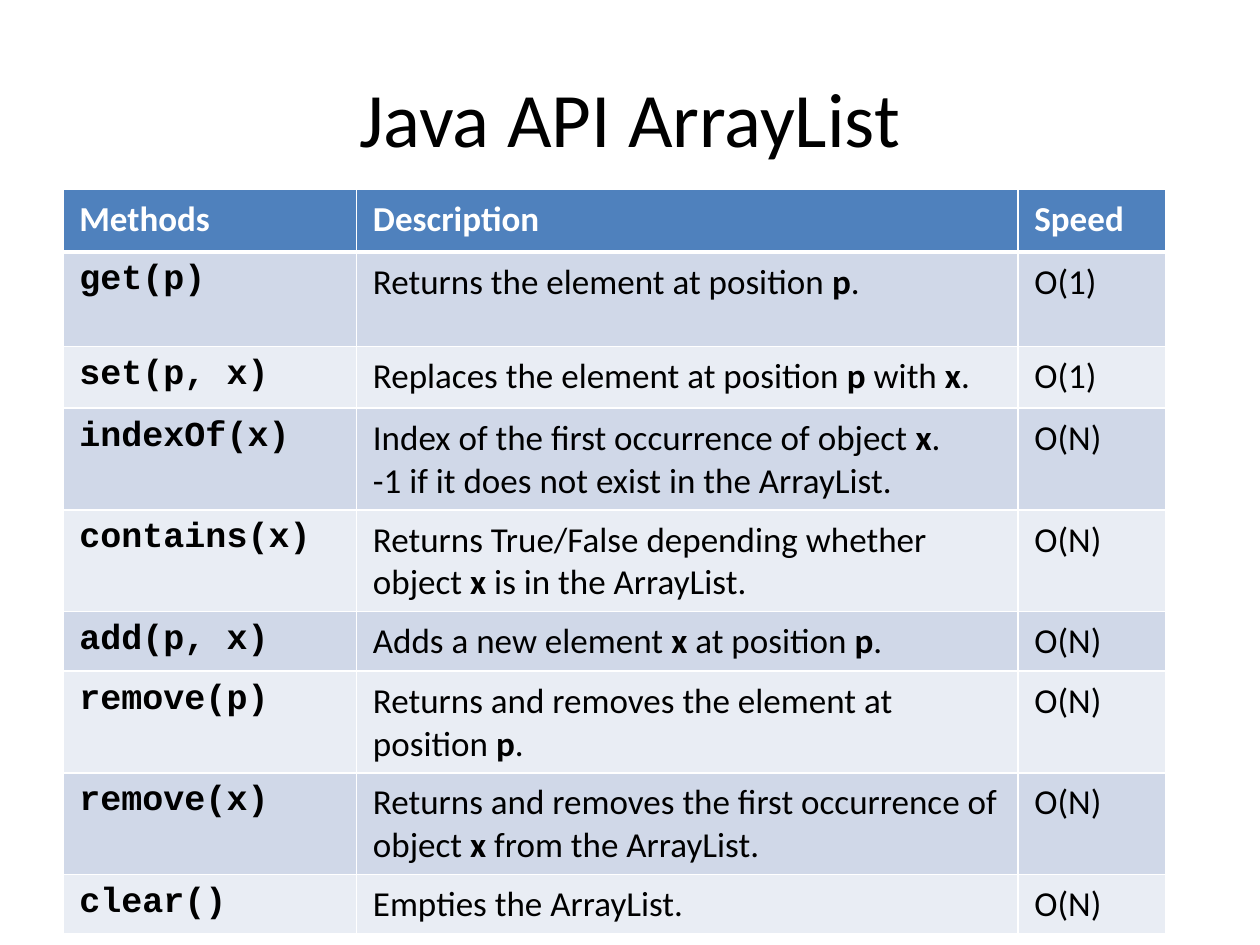
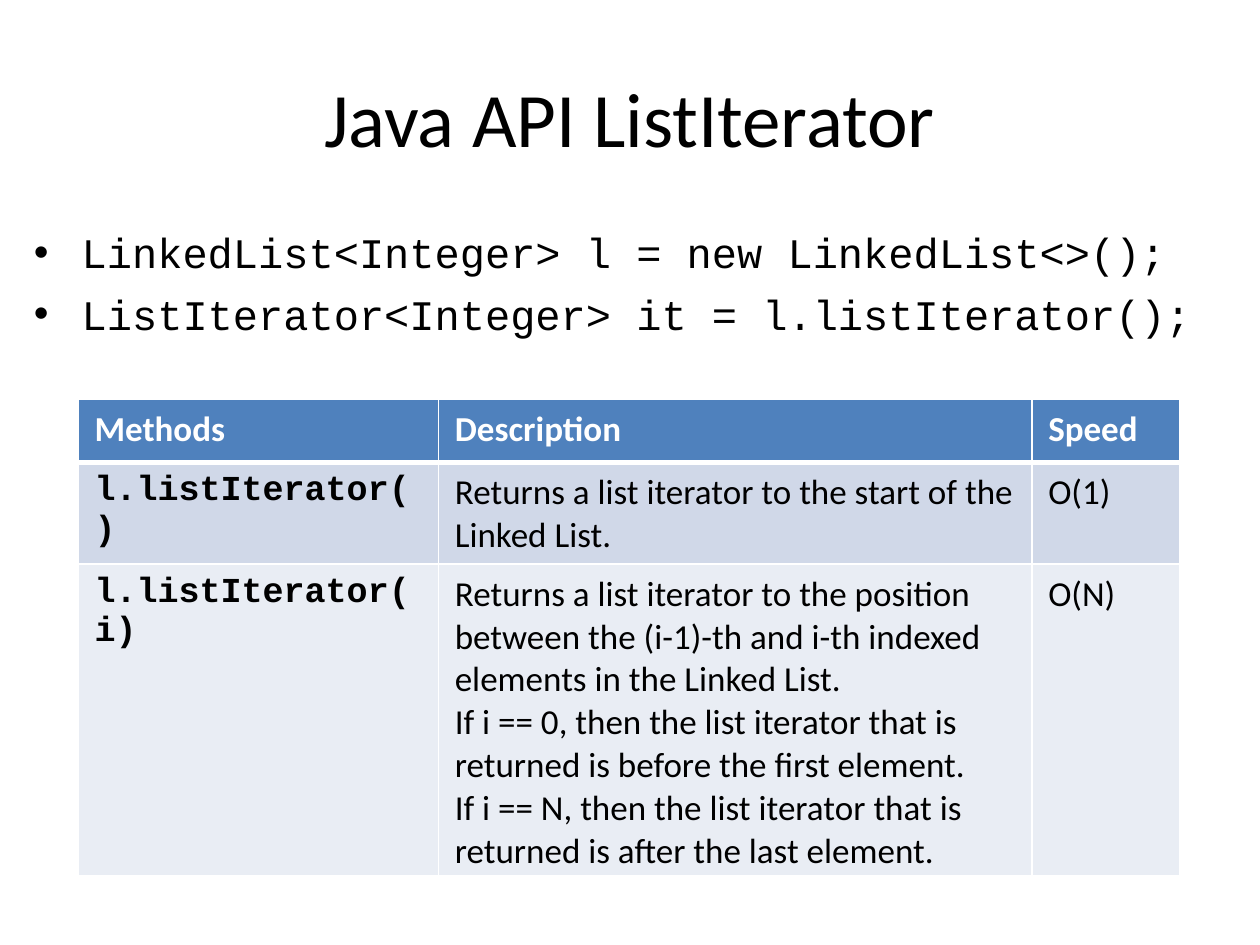
"""Build two slides on the Java list classes."""
from dataclasses import dataclass

from lxml.etree import SubElement
from pptx import Presentation
from pptx.dml.color import RGBColor
from pptx.enum.text import MSO_ANCHOR, PP_ALIGN
from pptx.oxml.ns import qn
from pptx.util import Inches, Pt


@dataclass(frozen=True)
class Theme:
    """Colours, fonts and type sizes shared by the slides."""
    ink: str = "000000"
    white: str = "FFFFFF"
    header: str = "4F81BD"
    bands: tuple = ("D0D8E8", "E9EDF4")
    body_font: str = "Calibri"
    code_font: str = "Courier New"
    bullet_font: str = "Arial"
    title_size: float = 44
    code_size: float = 24
    table_size: float = 20
    bullet_gap: float = 6.4
    rule: float = 1
    header_rule: float = 3


THEME = Theme()
HEADINGS = ("Methods", "Description", "Speed")
TITLE_BOX = (0.5, 0.3, 9, 1.25)
CELL_FORMAT = {
    "margin_left": Inches(0.13),
    "margin_right": Inches(0.13),
    "margin_top": Inches(0.07),
    "margin_bottom": Inches(0.07),
    "vertical_anchor": MSO_ANCHOR.TOP,
}

ARRAY_LIST_METHODS = [
    ("get(p)", "Returns the element at position *p*.", "O(1)"),
    ("set(p, x)", "Replaces the element at position *p* with *x*.", "O(1)"),
    ("indexOf(x)", "Index of the first occurrence of object *x*.\n"
     "-1 if it does not exist in the ArrayList.", "O(N)"),
    ("contains(x)", "Returns True/False depending whether object *x* is in the ArrayList.", "O(N)"),
    ("add(p, x)", "Adds a new element *x* at position *p*.", "O(N)"),
    ("remove(p)", "Returns and removes the element at position *p*.", "O(N)"),
    ("remove(x)", "Returns and removes the first occurrence of object *x* from the ArrayList.", "O(N)"),
    ("clear()", "Empties the ArrayList.", "O(N)"),
]
ITERATOR_METHODS = [
    ("l.listIterator()", "Returns a list iterator to the start of the Linked List.", "O(1)"),
    ("l.listIterator(i)",
     "Returns a list iterator to the position between the (i-1)-th and i-th "
     "indexed elements in the Linked List.\n"
     "If i == 0, then the list iterator that is returned is before the first element.\n"
     "If i == N, then the list iterator that is returned is after the last element.", "O(N)"),
]
ITERATOR_CODE = [
    "LinkedList<Integer> l = new LinkedList<>();",
    "ListIterator<Integer> it = l.listIterator();",
]


def apply_format(target, values):
    """Set each named attribute on the target."""
    for name, value in values.items():
        setattr(target, name, value)


def add_run(paragraph, text, size, font=THEME.body_font, color=THEME.ink, bold=False):
    """Append a styled run to a paragraph."""
    run = paragraph.add_run()
    run.text = text
    apply_format(run.font, {"name": font, "size": Pt(size), "bold": bold})
    run.font.color.rgb = RGBColor.from_string(color)


def write_lines(text_frame, text, **style):
    """Write one paragraph per line, with the parts between asterisks bold."""
    bold = style.pop("bold", False)
    for index, line in enumerate(text.split("\n")):
        paragraph = text_frame.add_paragraph() if index else text_frame.paragraphs[0]
        for part_index, part in enumerate(line.split("*")):
            if part:
                add_run(paragraph, part, bold=bold or part_index % 2 == 1, **style)


def add_text_box(slide, box, anchor=MSO_ANCHOR.TOP):
    """Add a wrapping text box and return its text frame."""
    text_frame = slide.shapes.add_textbox(*map(Inches, box)).text_frame
    apply_format(text_frame, {"word_wrap": True, "vertical_anchor": anchor})
    return text_frame


def add_title(slide, text):
    """Add the centred slide title."""
    text_frame = add_text_box(slide, TITLE_BOX, MSO_ANCHOR.MIDDLE)
    write_lines(text_frame, text, size=THEME.title_size)
    text_frame.paragraphs[0].alignment = PP_ALIGN.CENTER


def add_code_bullets(slide, box, lines):
    """Add a bulleted list of code lines."""
    text_frame = add_text_box(slide, box)
    write_lines(text_frame, "\n".join(lines), size=THEME.code_size, font=THEME.code_font)
    for paragraph in text_frame.paragraphs:
        paragraph.space_before = Pt(THEME.bullet_gap)
        properties = paragraph._p.get_or_add_pPr()
        properties.set("marL", str(Inches(0.38)))
        properties.set("indent", str(Inches(-0.38)))
        SubElement(properties, qn("a:buFont"), typeface=THEME.bullet_font)
        SubElement(properties, qn("a:buChar"), char="•")


def set_borders(cell, top, bottom):
    """Draw white cell borders with the given top and bottom widths."""
    properties = cell._tc.get_or_add_tcPr()
    widths = {"a:lnL": THEME.rule, "a:lnR": THEME.rule, "a:lnT": top, "a:lnB": bottom}
    for tag, width in widths.items():
        line = SubElement(properties, qn(tag), w=str(Pt(width)))
        fill = SubElement(line, qn("a:solidFill"))
        SubElement(fill, qn("a:srgbClr"), val=THEME.white)


def fill_cell(cell, text, row, column):
    """Style and fill a cell according to its row and column."""
    is_header = row == 0
    is_code = column == 0 and not is_header
    apply_format(cell, CELL_FORMAT)
    set_borders(cell,
                top=THEME.header_rule if row == 1 else THEME.rule,
                bottom=THEME.header_rule if is_header else THEME.rule)
    cell.fill.solid()
    background = THEME.header if is_header else THEME.bands[(row - 1) % 2]
    cell.fill.fore_color.rgb = RGBColor.from_string(background)
    write_lines(cell.text_frame, text,
                size=THEME.table_size,
                font=THEME.code_font if is_code else THEME.body_font,
                color=THEME.white if is_header else THEME.ink,
                bold=is_header or is_code)


def add_method_table(slide, left, top, widths, heights, methods):
    """Add a table of methods, descriptions and speeds."""
    rows = [HEADINGS, *methods]
    frame = slide.shapes.add_table(
        len(rows), len(widths), Inches(left), Inches(top),
        Inches(sum(widths)), Inches(sum(heights)))
    table = frame.table
    table.horz_banding = False
    for column, width in zip(table.columns, widths):
        column.width = Inches(width)
    for row_index, (height, texts) in enumerate(zip(heights, rows)):
        table.rows[row_index].height = Inches(height)
        for column_index, text in enumerate(texts):
            fill_cell(table.cell(row_index, column_index), text, row_index, column_index)


def add_slide(presentation, title):
    """Add a blank slide with a title."""
    slide = presentation.slides.add_slide(presentation.slide_layouts[6])
    add_title(slide, title)
    return slide


def main():
    """Build and save the presentation."""
    presentation = Presentation()
    apply_format(presentation, {"slide_width": Inches(10), "slide_height": Inches(7.5)})

    slide = add_slide(presentation, "Java API ArrayList")
    add_method_table(slide, 0.5, 1.5, (2.33, 5.25, 1.17),
                     (0.5, 0.75, 0.49, 0.5, 0.5, *[0.42] * 4), ARRAY_LIST_METHODS)

    slide = add_slide(presentation, "Java API ListIterator")
    add_code_bullets(slide, (0.17, 1.75, 9.75, 4.95), ITERATOR_CODE)
    add_method_table(slide, 0.62, 3.17, (2.86, 4.71, 1.17),
                     (0.5, 0.75, 0.49), ITERATOR_METHODS)

    presentation.save("out.pptx")


if __name__ == "__main__":
    main()
